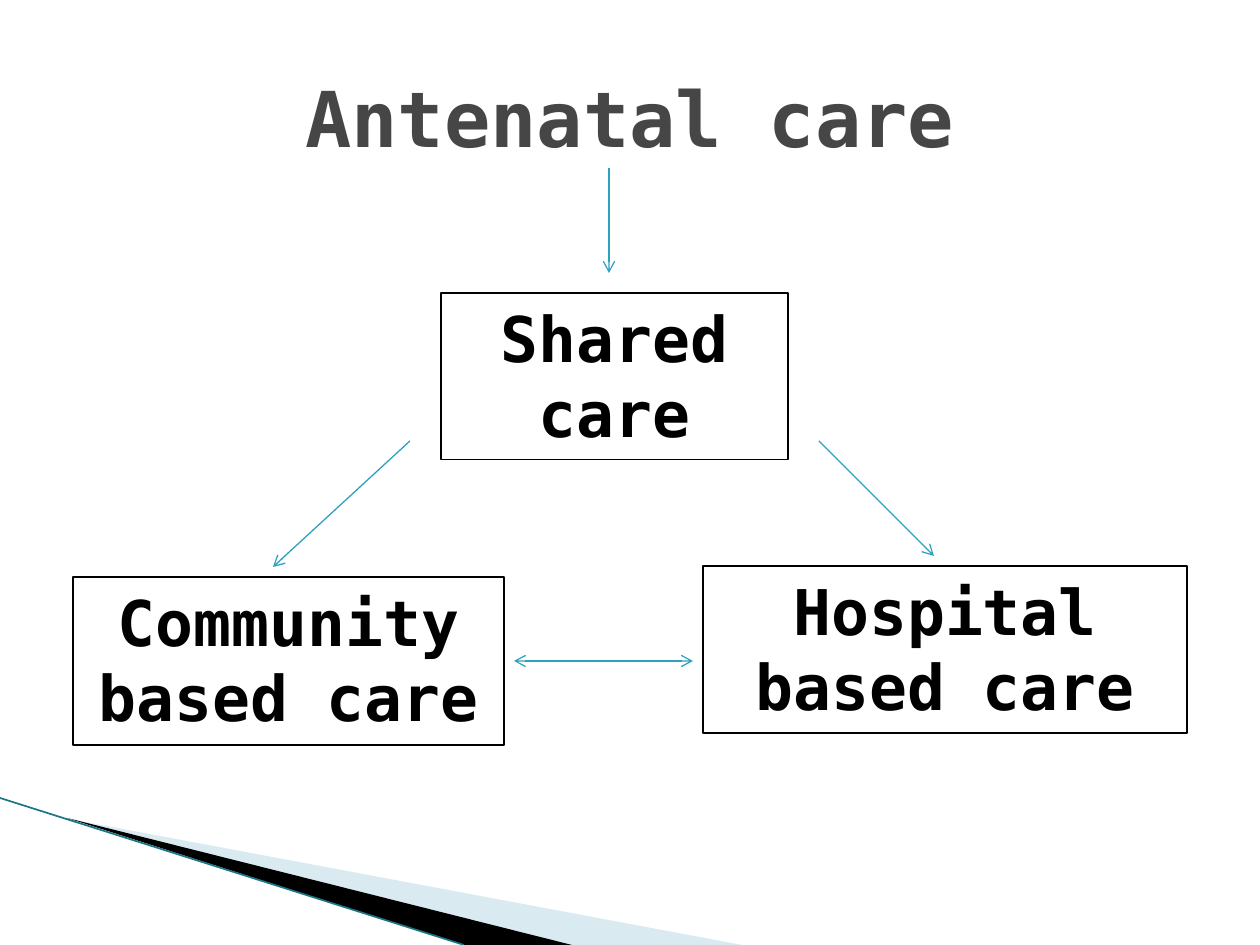
from lxml import etree
from pptx import Presentation
from pptx.dml.color import RGBColor
from pptx.enum.shapes import MSO_CONNECTOR, MSO_SHAPE
from pptx.enum.text import MSO_ANCHOR, MSO_AUTO_SIZE, PP_ALIGN
from pptx.oxml.ns import qn
from pptx.util import Emu, Pt

PX = 914400 // 126
STRAIGHT = MSO_CONNECTOR.STRAIGHT
RECTANGLE = MSO_SHAPE.RECTANGLE
CENTER = PP_ALIGN.CENTER
MIDDLE, TOP = MSO_ANCHOR.MIDDLE, MSO_ANCHOR.TOP
NO_AUTOFIT = MSO_AUTO_SIZE.NONE

FONT = "DejaVu Sans Mono"
BLACK = RGBColor(0x00, 0x00, 0x00)
TITLE_GREY = RGBColor(0x46, 0x46, 0x46)
ARROW_BLUE = RGBColor(0x2D, 0xA2, 0xBF)
PALE_BLUE = RGBColor(0xA0, 0xCB, 0xDC)
EDGE_TEAL = RGBColor(0x1B, 0x74, 0x87)

TITLE = ("Antenatal care", (63, 38, 1134, 157))
CARE_TYPES = [  # text, (left, top, width, height)
    ("Shared care", (441, 293, 347, 167)),
    ("Community based care", (73, 577, 431, 168)),
    ("Hospital based care", (703, 566, 484, 167)),
]
ARROWS = [  # start, end, two-headed
    ((819, 441), (934, 556), False),
    ((410, 441), (273, 567), False),
    ((609, 168), (609, 273), False),
    ((514, 661), (693, 661), True),
]
WEDGES = [  # corners, colour, opacity in percent
    ([(69, 819), (742, 945), (572, 945)], PALE_BLUE, 40),
    ([(67, 818), (572, 945), (464, 945)], BLACK, 100),
]
EDGE = ((0, 798), (464, 945))


def px(values):
    return [Emu(value * PX) for value in values]


def add_wedge(slide, corners, color, opacity):
    builder = slide.shapes.build_freeform(*corners[0], scale=PX)
    builder.add_line_segments(corners[1:], close=True)
    wedge = builder.convert_to_shape()
    wedge.shadow.inherit = False
    wedge.line.fill.background()
    wedge.fill.solid()
    wedge.fill.fore_color.rgb = color
    if opacity < 100:
        rgb = wedge.fill._xPr.find(".//" + qn("a:srgbClr"))
        etree.SubElement(rgb, qn("a:alpha"), val=str(opacity * 1000))


def add_line(slide, start, end, color, width, heads=()):
    """Draw a line with an open arrowhead for each end tag in heads."""
    connector = slide.shapes.add_connector(STRAIGHT, *px(start + end))
    connector.line.color.rgb = color
    connector.line.width = Pt(width)
    for head in heads:
        etree.SubElement(connector.line._ln, qn(head), type="arrow")
    etree.SubElement(connector._element.spPr, qn("a:effectLst"))


def write(shape, text, size, color, anchor):
    frame = shape.text_frame
    frame.text = text
    frame.word_wrap = True
    frame.auto_size = NO_AUTOFIT
    frame.vertical_anchor = anchor
    paragraph = frame.paragraphs[0]
    paragraph.alignment = CENTER
    font = paragraph.font
    font.name, font.size, font.bold = FONT, Pt(size), True
    font.color.rgb = color


def add_care_box(slide, text, bounds):
    box = slide.shapes.add_shape(RECTANGLE, *px(bounds))
    box.shadow.inherit = False
    box.fill.background()
    box.line.color.rgb = BLACK
    box.line.width = Pt(0.75)
    write(box, text, 36, BLACK, TOP)


def main():
    deck = Presentation()
    deck.slide_width, deck.slide_height = px((1260, 945))
    slide = deck.slides.add_slide(deck.slide_layouts[5])

    for wedge in WEDGES:
        add_wedge(slide, *wedge)
    add_line(slide, *EDGE, EDGE_TEAL, 0.95)

    heading, bounds = TITLE
    title = slide.shapes.title
    title.left, title.top, title.width, title.height = px(bounds)
    write(title, heading, 44, TITLE_GREY, MIDDLE)

    for care_type in CARE_TYPES:
        add_care_box(slide, *care_type)
    for start, end, two_headed in ARROWS:
        heads = ("a:headEnd", "a:tailEnd") if two_headed else ("a:tailEnd",)
        add_line(slide, start, end, ARROW_BLUE, 0.75, heads)

    deck.save("out.pptx")


if __name__ == "__main__":
    main()
